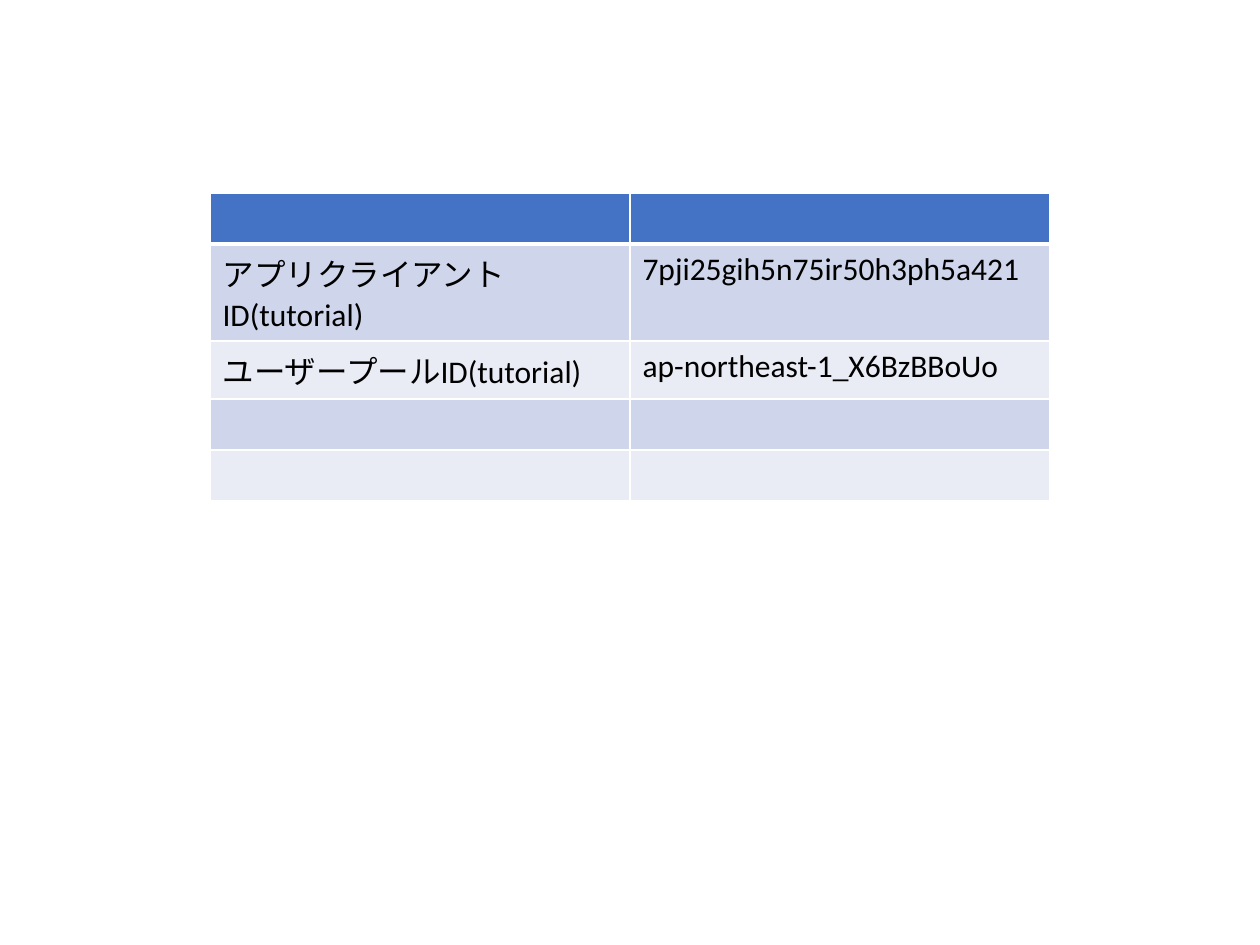
from lxml import etree
from pptx import Presentation
from pptx.dml.color import RGBColor
from pptx.oxml.ns import qn
from pptx.util import Pt

EMU_PER_PX = 914400 / 126
COLORS = {
    "header": "4472C4",
    "odd_row": "CFD5EA",
    "even_row": "E9EBF5",
    "border": "FFFFFF",
    "text": "000000",
}
FONT_FORMAT = {
    "name": "Calibri",
    "size": Pt(18),
    "bold": False,
}
ROWS = [
    ("", ""),
    ("アプリクライアントID(tutorial)", "7pji25gih5n75ir50h3ph5a421"),
    ("ユーザープールID(tutorial)", "ap-northeast-1_X6BzBBoUo"),
    ("", ""),
    ("", ""),
]
COLUMN_WIDTH = 420
ROW_HEIGHT = 51


def px(length):
    return round(length * EMU_PER_PX)


def add_border(cell, side, points):
    """Draw one side of a cell; side is L, R, T or B."""
    properties = cell._tc.get_or_add_tcPr()
    line = etree.SubElement(properties, qn(f"a:ln{side}"), w=str(Pt(points)))
    fill = etree.SubElement(line, qn("a:solidFill"))
    etree.SubElement(fill, qn("a:srgbClr"), val=COLORS["border"])


presentation = Presentation()
presentation.slide_width = px(1260)
presentation.slide_height = px(945)
slide = presentation.slides.add_slide(presentation.slide_layouts[6])

table = slide.shapes.add_table(
    len(ROWS), 2, px(210), px(193), px(2 * COLUMN_WIDTH), px(len(ROWS) * ROW_HEIGHT)
).table
for column in table.columns:
    column.width = px(COLUMN_WIDTH)

for row_index, texts in enumerate(ROWS):
    table.rows[row_index].height = px(ROW_HEIGHT)
    if row_index == 0:
        fill_name = "header"
    else:
        fill_name = "odd_row" if row_index % 2 else "even_row"

    for column_index, text in enumerate(texts):
        cell = table.cell(row_index, column_index)
        # The rule below the header row is thicker than the others.
        border_widths = {
            "L": 1,
            "R": 1,
            "T": 3 if row_index == 1 else 1,
            "B": 3 if row_index == 0 else 1,
        }
        for side, points in border_widths.items():
            add_border(cell, side, points)
        cell.fill.solid()
        cell.fill.fore_color.rgb = RGBColor.from_string(COLORS[fill_name])

        paragraph = cell.text_frame.paragraphs[0]
        if text:
            font = paragraph.add_run().font
            paragraph.runs[0].text = text
            for attribute, value in FONT_FORMAT.items():
                setattr(font, attribute, value)
            font.color.rgb = RGBColor.from_string(COLORS["text"])

presentation.save("out.pptx")
